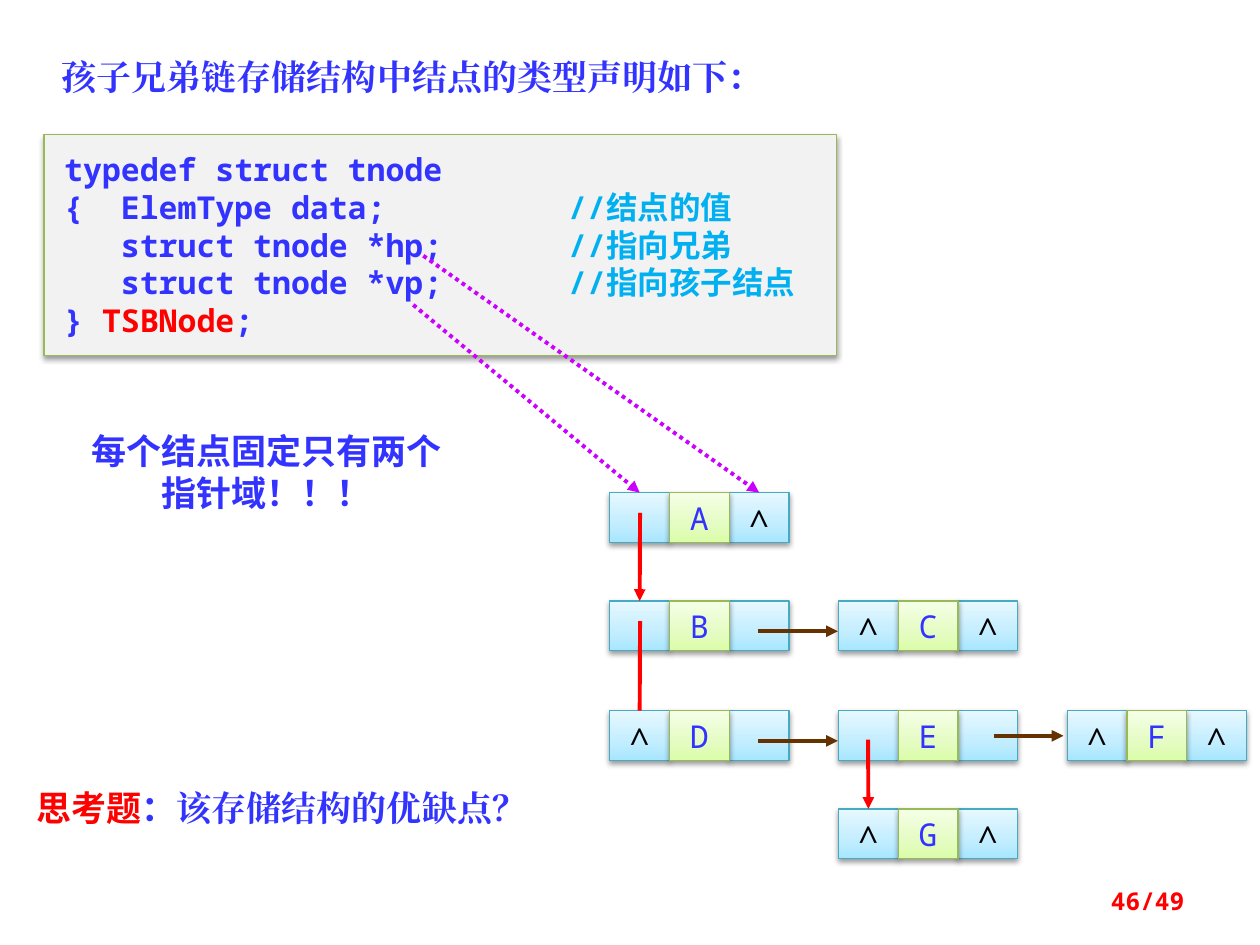
import pptx
import pptx.dml.color
import pptx.enum.dml
import pptx.enum.shapes
import pptx.enum.text
import pptx.oxml
import pptx.oxml.ns
import pptx.util
from lxml import etree

MONO, SANS, SERIF = "Noto Sans Mono", "Noto Sans CJK SC", "Times New Roman"
BLUE, RED, CYAN, BROWN, PURPLE, BLACK = "3333FF", "FF0000", "00B0F0", "663300", "CC00FF", "000000"
NIL = "∧"
ALIGN = pptx.enum.text.PP_ALIGN
ANCHOR = pptx.enum.text.MSO_ANCHOR
RECTANGLE = pptx.enum.shapes.MSO_SHAPE.RECTANGLE
POINTER_LOOK = {"line": "46AAC5", "stops": [(0, "A7E6FF"), (35, "C1EDFF"), (100, "E7F8FF")]}
DATA_LOOK = {"line": "98B955", "stops": [(0, "DAFDA7"), (35, "E4FCC2"), (100, "F5FFE7")]}


def rgb(value):
    return pptx.dml.color.RGBColor.from_string(value)


def element(tag, attributes="", inner=""):
    return pptx.oxml.parse_xml(
        f'<a:{tag} {pptx.oxml.ns.nsdecls("a")} {attributes}>{inner}</a:{tag}>')


class Board:
    """Slide with a grid of 100 columns by 75 rows."""

    def __init__(self, deck):
        self.slide = deck.slides.add_slide(deck.slide_layouts[6])
        self.column = deck.slide_width / 100
        self.row = deck.slide_height / 75

    def place(self, x, y):
        return round(x * self.column), round(y * self.row)

    def fill_text(self, shape, lines, size, bold=True, align=ALIGN.LEFT, frame_format=None, tab=None):
        """Each line is a list of (text, colour, font) runs."""
        frame = shape.text_frame
        for name, value in {"word_wrap": True, **(frame_format or {})}.items():
            setattr(frame, name, value)
        for index, runs in enumerate(lines):
            paragraph = frame.paragraphs[0] if index == 0 else frame.add_paragraph()
            paragraph.alignment = align
            paragraph.line_spacing = pptx.util.Pt(size * 1.2)
            if tab:
                stop = round(tab * self.column)
                paragraph._p.get_or_add_pPr().append(
                    element("tabLst", inner=f'<a:tab pos="{stop}" algn="l"/>'))
            for text, colour, font_name in runs:
                run = paragraph.add_run()
                run.text = text
                font_format = {"size": pptx.util.Pt(size), "bold": bold, "name": font_name}
                for name, value in font_format.items():
                    setattr(run.font, name, value)
                run.font.color.rgb = rgb(colour)
                east = etree.SubElement(run._r.get_or_add_rPr(), pptx.oxml.ns.qn("a:ea"))
                east.set("typeface", font_name)

    def text(self, x, y, width, height, lines, size, **style):
        box = self.slide.shapes.add_textbox(*self.place(x, y), *self.place(width, height))
        self.fill_text(box, lines, size, **style)

    def panel(self, x, y, width, height, line, fill=None, stops=None):
        panel = self.slide.shapes.add_shape(
            RECTANGLE, *self.place(x, y), *self.place(width, height))
        if fill:
            panel.fill.solid()
            panel.fill.fore_color.rgb = rgb(fill)
        else:
            marks = "".join(f'<a:gs pos="{pos * 1000}"><a:srgbClr val="{colour}"/></a:gs>'
                            for pos, colour in stops)
            panel._element.spPr.append(element(
                "gradFill", 'rotWithShape="1"',
                f'<a:gsLst>{marks}</a:gsLst><a:lin ang="16200000" scaled="0"/>'))
        panel.line.color.rgb = rgb(line)
        panel.line.width = pptx.util.Pt(0.75)
        # Soft shadow straight below
        panel._element.spPr.append(element(
            "effectLst", inner='<a:outerShdw blurRad="40000" dist="20000" dir="5400000" '
            'rotWithShape="0"><a:srgbClr val="000000"><a:alpha val="38000"/></a:srgbClr>'
            '</a:outerShdw>'))
        return panel

    def node(self, x, y, child, name, sibling):
        """Child pointer, data and sibling pointer; returns the three cells."""
        cells = {}
        for index, label in ((0, child), (2, sibling), (1, name)):
            look = DATA_LOOK if index == 1 else POINTER_LOOK
            cell = self.panel(x + index * 4.74, y, 4.74, 3.95, **look)
            if label:
                colour = BLUE if index == 1 else BLACK
                self.fill_text(cell, [[(label, colour, MONO)]], 18, bold=False, align=ALIGN.CENTER,
                               frame_format={"word_wrap": False, "vertical_anchor": ANCHOR.MIDDLE})
            cells[index] = cell
        return cells

    def arrow(self, start, end, colour, target=None, dotted=False, head=True):
        """With a target, the end joins the middle of its top side."""
        arrow = self.slide.shapes.add_connector(
            pptx.enum.shapes.MSO_CONNECTOR.STRAIGHT, *self.place(*start), *self.place(*end))
        if target is not None:
            arrow.end_connect(target, 0)
        arrow.line.color.rgb = rgb(colour)
        arrow.line.width = pptx.util.Pt(2.25)
        if dotted:
            arrow.line.dash_style = pptx.enum.dml.MSO_LINE.ROUND_DOT
        if head:
            arrow.line._get_or_add_ln().append(element("tailEnd", 'type="triangle"'))
        arrow._element.spPr.append(element("effectLst"))


def main():
    deck = pptx.Presentation()
    deck.slide_width, deck.slide_height = pptx.util.Inches(10), pptx.util.Inches(7.5)
    board = Board(deck)

    # Type declaration
    declaration = [
        [("typedef struct tnode", BLUE, MONO)],
        *[[(code + "\t", BLUE, MONO), (comment, CYAN, MONO)] for code, comment in (
            ("{  ElemType data;", "//结点的值"),
            ("   struct tnode *hp;", "//指向兄弟"),
            ("   struct tnode *vp;", "//指向孩子结点"))],
        [("} ", BLUE, MONO), ("TSBNode", RED, MONO), (";", BLUE, MONO)],
    ]
    code_panel = board.panel(3.5, 10.7, 62.9, 17.5, line="98B955", fill="F2F2F2")
    across, down = board.place(1.6, 1.2)
    board.fill_text(code_panel, declaration, 18, tab=40, frame_format={
        "margin_left": across, "margin_right": across, "margin_top": down,
        "margin_bottom": down, "vertical_anchor": ANCHOR.TOP})

    # Heading, remark and question
    board.text(1.9, 61.9, 51.2, 4.4, [[("思考题", RED, SANS), ("：", BLUE, SANS),
                                       ("该存储结构的优缺点？", BLUE, SERIF)]], 20)
    board.text(3.9, 3.9, 69.9, 4.4,
               [[("孩子兄弟链存储结构中结点的类型声明如下：", BLUE, SERIF)]], 20)
    board.text(6.2, 33.6, 29.9, 7.7,
               [[("每个结点固定只有两个指针域！！！", BLUE, MONO)]], 20, align=ALIGN.CENTER)

    # Linked nodes: name, level across, row, child and sibling labels
    rows = (39.1, 47.7, 56.4, 64.2)
    nodes = {name: board.node(48.4 + 18.15 * level, rows[row], child, name, sibling)
             for name, level, row, child, sibling in (
                 ("A", 0, 0, "", NIL), ("B", 0, 1, "", ""), ("C", 1, 1, NIL, NIL),
                 ("D", 0, 2, NIL, ""), ("E", 1, 2, "", ""), ("F", 2, 2, NIL, NIL),
                 ("G", 1, 3, NIL, NIL))}

    # Child links
    for x, y, end_y, child, head in ((50.8, 40.7, 47.7, "B", True), (50.8, 49.3, 56.4, "D", False),
                                     (68.9, 58.7, 64.2, "G", True)):
        board.arrow((x, y), (x, end_y), RED, target=nodes[child][0], head=head)
    # Sibling links
    for x, end_x, y in ((60.2, 66.5, 50.1), (60.2, 66.5, 58.8), (78.9, 84.4, 58.4)):
        board.arrow((x, y), (end_x, y), BROWN)
    # From the declared pointers to their cells
    for start, end, cell in (((32.8, 24.2), (50.8, 39.1), 0), ((33.6, 20.3), (60.2, 39.1), 2)):
        board.arrow(start, end, PURPLE, target=nodes["A"][cell], dotted=True)

    # Page number
    board.text(71.7, 69.5, 23.3, 4, [[("46/49", RED, MONO)]], 14, align=ALIGN.RIGHT,
               frame_format={"vertical_anchor": ANCHOR.MIDDLE})
    deck.save("out.pptx")


if __name__ == "__main__":
    main()
